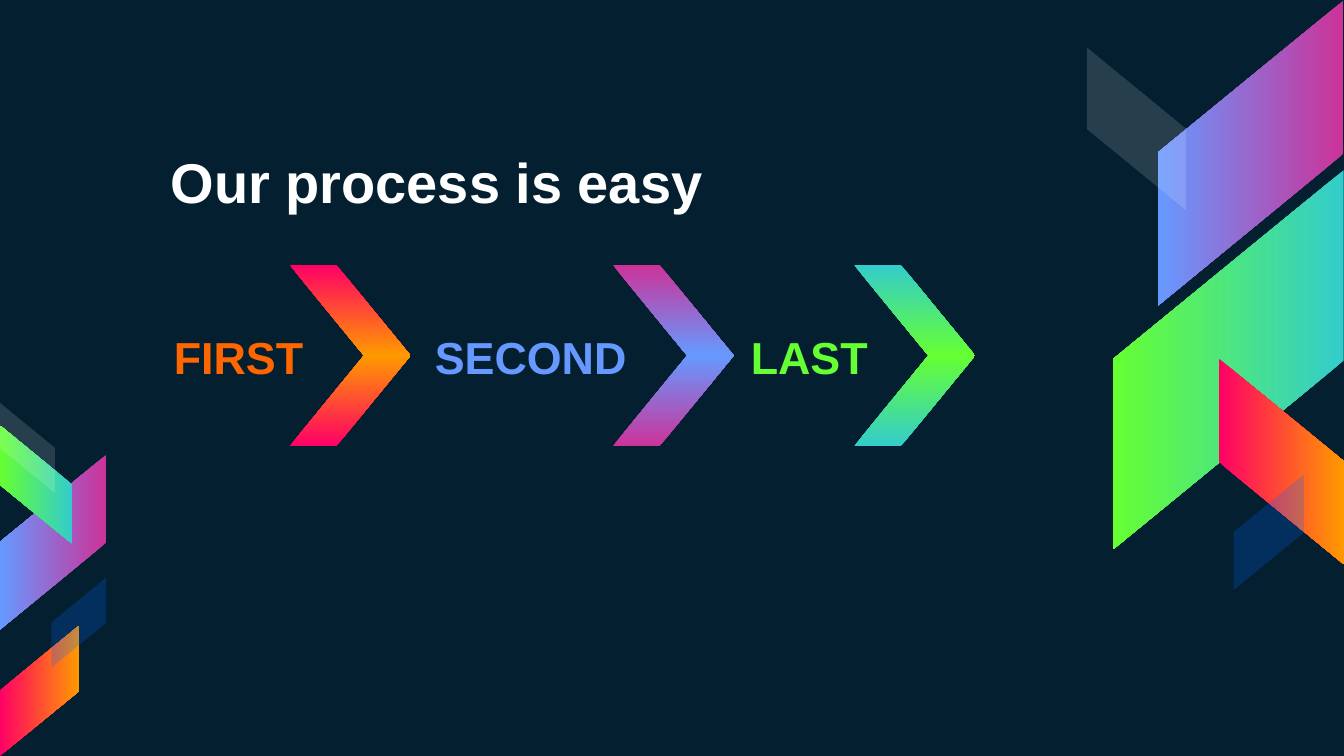
"""Build a three-step process slide with slanted gradient bands."""
from dataclasses import dataclass

from lxml.etree import SubElement
from pptx import Presentation
from pptx.dml.color import RGBColor
from pptx.enum.shapes import MSO_SHAPE as Shape
from pptx.enum.text import MSO_ANCHOR as Anchor, MSO_AUTO_SIZE as Auto, PP_ALIGN as Align
from pptx.oxml.ns import qn
from pptx.util import Inches, Pt

WIDTH = 10
HEIGHT = WIDTH * 9 / 16
COLUMNS = 100
CELL = WIDTH / COLUMNS
SLANT = 0.819
BAND_RATIO = 0.608
CHEVRON_TOP, CHEVRON_W, CHEVRON_H = 19.7, 9, 6.75
WORD_OVERLAP = 2


@dataclass(frozen=True)
class Paint:
    """A gradient from start to end, or one colour with an opacity in percent."""
    start: str
    end: str = ""
    opacity: int = 100


@dataclass(frozen=True)
class Band:
    """A turned parallelogram placed in grid cells."""
    left: float
    top: float
    length: float
    turn: int
    flip: bool
    paint: Paint


@dataclass(frozen=True)
class Step:
    """A word followed by a chevron, placed in grid columns."""
    word: str
    colour: str
    width: float
    chevron: float
    paint: Paint


VIOLET = Paint("CC3399", "6699FF")
GREEN = Paint("33CCCC", "66FF33")
FIRE = Paint("FF0066", "FF9900")
MIST = Paint("FFFFFF", opacity=14)
NAVY = Paint("0066FF", opacity=23)

BANDS = [
    Band(81.7, 4.5, 22.7, 90, True, VIOLET),
    Band(77.3, 18.2, 28.2, 90, True, GREEN),
    Band(87.7, 29.7, 15.3, 270, False, FIRE),
    Band(78.5, 5.9, 12.1, 270, False, MIST),
    Band(90.1, 37, 8.6, 270, True, NAVY),
    Band(-2.55, 36.4, 13, 90, True, VIOLET),
    Band(-1.7, 33.4, 8.8, 90, False, GREEN),
    Band(-1.9, 48.45, 9.7, 270, True, FIRE),
    Band(-1.3, 31.3, 6.7, 270, False, MIST),
    Band(2.5, 44.3, 6.7, 270, True, NAVY),
]
STEPS = [
    Step("FIRST", "FF6600", 16.5, 21.55, FIRE),
    Step("SECOND", "6699FF", 20.5, 45.6, VIOLET),
    Step("LAST", "66FF33", 16.5, 63.55, GREEN),
]


def rgb(colour: str) -> RGBColor:
    """Turn a hex string into a colour."""
    return RGBColor.from_string(colour)


def cells(*counts: float) -> list[int]:
    """Turn counts of grid cells into lengths."""
    return [Inches(n * CELL) for n in counts]


def set_all(target, values: dict) -> None:
    """Set each attribute named in values."""
    for name, value in values.items():
        setattr(target, name, value)


def apply_paint(sp, paint: Paint) -> None:
    """Fill a shape with a gradient or a see-through colour."""
    fill = sp.fill
    if paint.end:
        fill.gradient()
        fill.gradient_angle = 270
        for stop, colour in zip(fill.gradient_stops, (paint.start, paint.end)):
            stop.color.rgb = rgb(colour)
    else:
        fill.solid()
        fill.fore_color.rgb = rgb(paint.start)
        clr = sp._element.spPr.find(f".//{qn('a:srgbClr')}")
        SubElement(clr, qn("a:alpha"), val=str(paint.opacity * 1000))


def add_slant(s, box: tuple, turn: int, flip: bool, paint: Paint) -> None:
    """Draw one parallelogram in a box of grid cells."""
    sp = s.shapes.add_shape(Shape.PARALLELOGRAM, *cells(*box))
    sp.adjustments[0] = SLANT
    sp.rotation = turn
    sp.shadow.inherit = False
    if flip:
        sp._element.spPr.find(qn("a:xfrm")).set("flipH", "1")
    apply_paint(sp, paint)
    sp.line.fill.background()


def write(sp, text: str, size: int, colour: str, anchor: Anchor, align: Align) -> None:
    """Put one bold line of text into a shape."""
    tf = sp.text_frame
    margins = {f"margin_{side}": Inches(0.1) for side in ("left", "right", "top", "bottom")}
    set_all(tf, {"word_wrap": True, "auto_size": Auto.NONE, "vertical_anchor": anchor, **margins})
    p = tf.paragraphs[0]
    p.alignment = align
    r = p.add_run()
    r.text = text
    set_all(r.font, {"name": "Arial", "size": Pt(size), "bold": True})
    r.font.color.rgb = rgb(colour)


def add_step(s, step: Step) -> None:
    """Draw a chevron of two mirrored halves and the word before it."""
    for row, (turn, flip) in enumerate([(0, True), (180, False)]):
        top = CHEVRON_TOP + row * CHEVRON_H
        add_slant(s, (step.chevron, top, CHEVRON_W, CHEVRON_H), turn, flip, step.paint)
    left = step.chevron + WORD_OVERLAP - step.width
    box = s.shapes.add_textbox(*cells(left, CHEVRON_TOP + 0.1, step.width, 2 * CHEVRON_H))
    write(box, step.word, 24, step.colour, Anchor.MIDDLE, Align.RIGHT)


def main() -> None:
    """Build and save the slide."""
    prs = Presentation()
    set_all(prs, {"slide_width": Inches(WIDTH), "slide_height": Inches(HEIGHT)})
    s = prs.slides.add_slide(prs.slide_layouts[5])
    s.background.fill.solid()
    s.background.fill.fore_color.rgb = rgb("041F30")
    for band in BANDS:
        box = (band.left, band.top, band.length, band.length * BAND_RATIO)
        add_slant(s, box, band.turn, band.flip, band.paint)
    title = s.shapes.title
    set_all(title, dict(zip(("left", "top", "width", "height"), cells(11.7, 10, 65.3, 6.95))))
    write(title, "Our process is easy", 30, "FFFFFF", Anchor.BOTTOM, Align.LEFT)
    for step in STEPS:
        add_step(s, step)
    prs.save("out.pptx")


if __name__ == "__main__":
    main()
